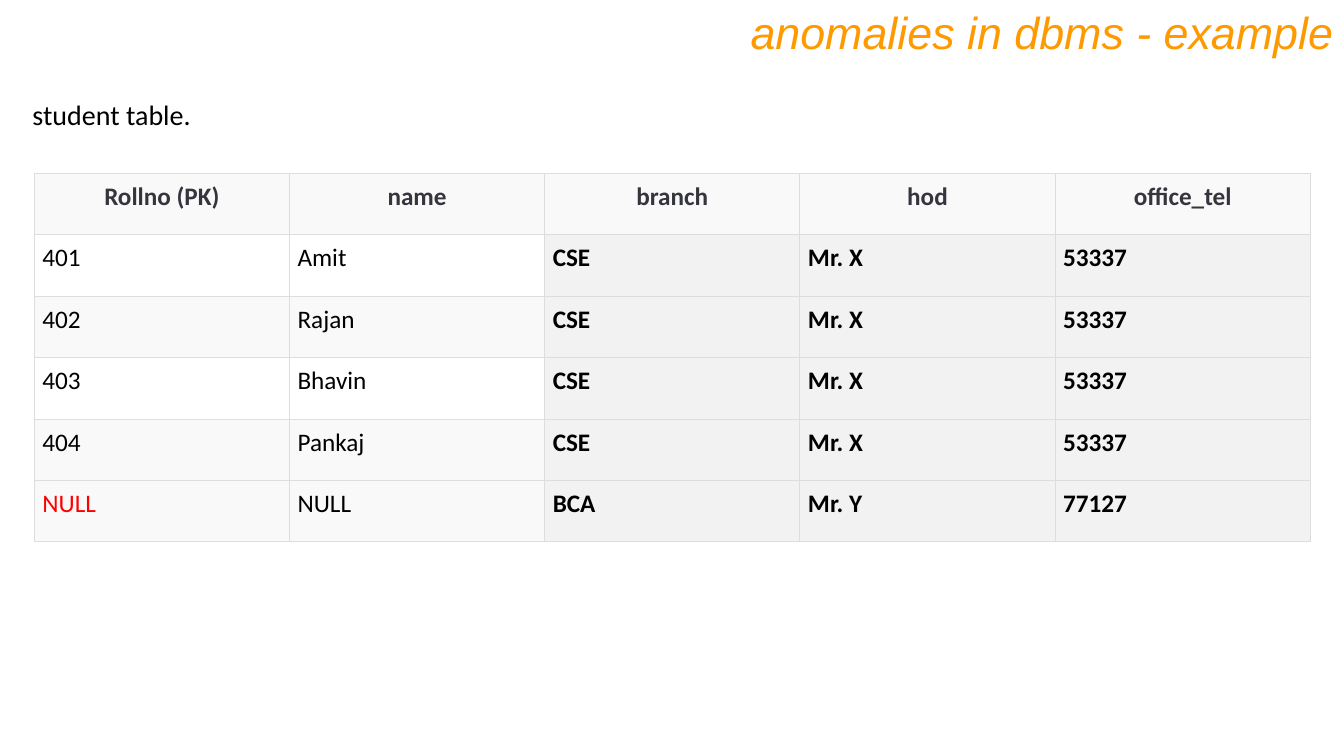
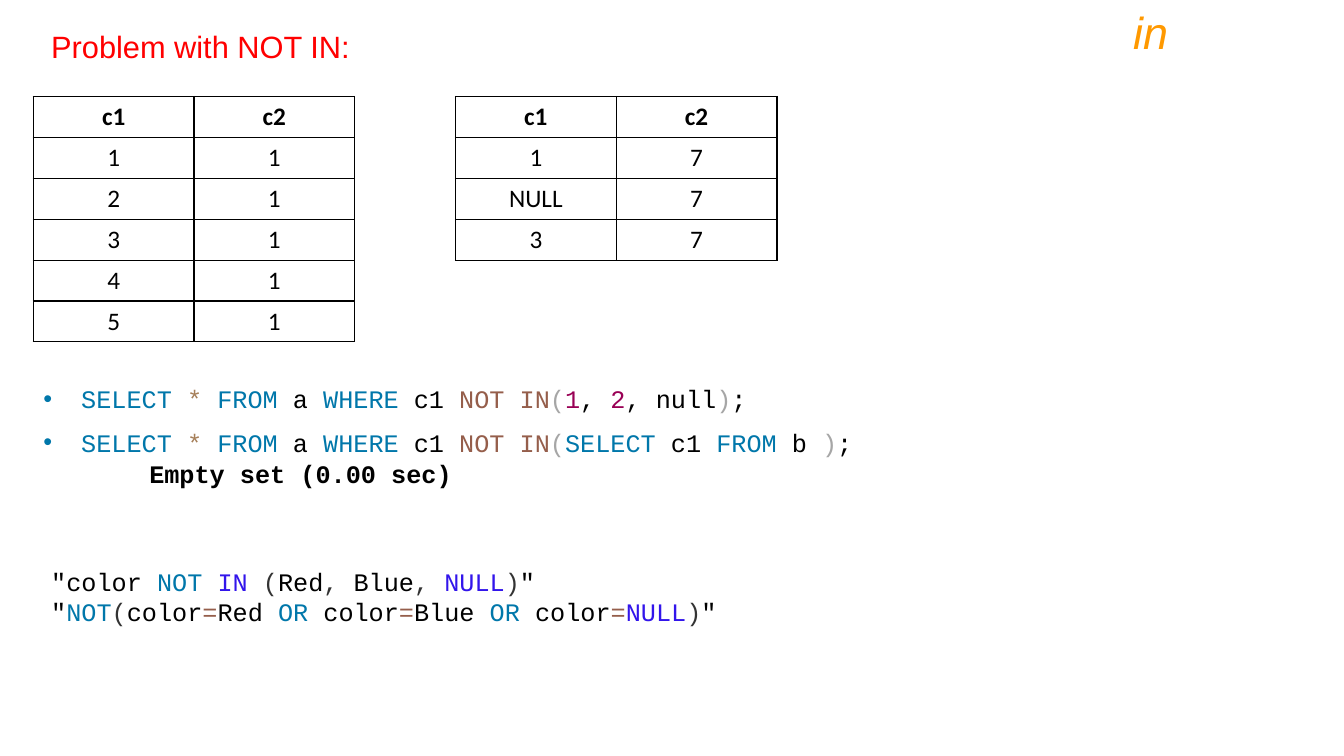
from dataclasses import dataclass
from typing import NamedTuple, Optional, Sequence

from lxml.etree import SubElement
from pptx import Presentation
from pptx.dml.color import RGBColor
from pptx.enum.text import MSO_ANCHOR, MSO_AUTO_SIZE, PP_ALIGN
from pptx.oxml.ns import qn
from pptx.util import Pt


@dataclass(frozen=True)
class Theme:
    title_font: str = "Arial"
    body_font: str = "Calibri"
    code_font: str = "Courier New"
    title_size: float = 32
    heading_size: float = 22
    lead_size: float = 20
    text_size: float = 18
    orange: RGBColor = RGBColor(0xFF, 0x99, 0x00)
    red: RGBColor = RGBColor(0xFF, 0x00, 0x00)
    black: RGBColor = RGBColor(0x00, 0x00, 0x00)
    white: RGBColor = RGBColor(0xFF, 0xFF, 0xFF)
    header_text: RGBColor = RGBColor(0x35, 0x35, 0x3E)
    header_fill: RGBColor = RGBColor(0xF9, 0xF9, 0xF9)
    repeated_fill: RGBColor = RGBColor(0xF2, 0xF2, 0xF2)
    grid: RGBColor = RGBColor(0xDD, 0xDD, 0xDD)
    keyword: RGBColor = RGBColor(0x00, 0x77, 0xAA)
    star: RGBColor = RGBColor(0xA6, 0x7F, 0x59)
    operator: RGBColor = RGBColor(0x95, 0x5E, 0x4B)
    bracket: RGBColor = RGBColor(0xA6, 0xA6, 0xA6)
    number: RGBColor = RGBColor(0x99, 0x00, 0x55)
    constant: RGBColor = RGBColor(0x32, 0x15, 0xEB)
    punctuation: RGBColor = RGBColor(0x33, 0x33, 0x33)


THEME = Theme()


class Box(NamedTuple):
    left: float
    top: float
    width: float
    height: float


class Span(NamedTuple):
    text: str
    color: RGBColor = THEME.black


class CellStyle(NamedTuple):
    fill: RGBColor = THEME.white
    color: RGBColor = THEME.black
    bold: bool = False
    align: PP_ALIGN = PP_ALIGN.LEFT


class Grid(NamedTuple):
    left: float
    top: float
    column_width: float
    row_height: float
    border: RGBColor
    border_width: float
    inset: Optional[float] = None


QUERY_START = (
    Span("SELECT ", THEME.keyword), Span("* ", THEME.star),
    Span("FROM", THEME.keyword), Span(" a "),
    Span("WHERE", THEME.keyword), Span(" c1 "),
    Span("NOT IN", THEME.operator), Span("(", THEME.bracket),
)
QUERY_END = (Span(")", THEME.bracket), Span(";"))
LIST_QUERY = (
    *QUERY_START, Span("1", THEME.number), Span(", "),
    Span("2", THEME.number), Span(", null"), *QUERY_END,
)
SUBQUERY = (
    *QUERY_START, Span("SELECT ", THEME.keyword), Span("c1"),
    Span(" FROM ", THEME.keyword), Span("b "), *QUERY_END,
)
EQUALS = Span("=", THEME.operator)
OR = Span("OR ", THEME.keyword)
COMMA = Span(", ", THEME.punctuation)
OPEN = Span("(", THEME.punctuation)
CONDITION_END = (
    Span("NULL", THEME.constant), Span(")", THEME.punctuation), Span('"'),
)
CONDITIONS = (
    (Span('"color '), Span("NOT ", THEME.keyword), Span("IN ", THEME.constant),
     OPEN, Span("Red"), COMMA, Span("Blue"), COMMA, *CONDITION_END),
    (Span('"'), Span("NOT", THEME.keyword), OPEN,
     Span("color"), EQUALS, Span("Red "), OR,
     Span("color"), EQUALS, Span("Blue "), OR,
     Span("color"), EQUALS, *CONDITION_END),
)
STUDENTS = (
    ("Rollno (PK)", "name", "branch", "hod", "office_tel"),
    ("401", "Amit", "CSE", "Mr. X", "53337"),
    ("402", "Rajan", "CSE", "Mr. X", "53337"),
    ("403", "Bhavin", "CSE", "Mr. X", "53337"),
    ("404", "Pankaj", "CSE", "Mr. X", "53337"),
    ("NULL", "NULL", "BCA", "Mr. Y", "77127"),
)
TABLE_A = (("c1", "c2"), *((str(number), "1") for number in range(1, 6)))
TABLE_B = (("c1", "c2"), ("1", "7"), ("NULL", "7"), ("3", "7"))


def write_paragraph(paragraph, spans: Sequence[Span], *, font: str, size: float,
                    bold: bool = False, italic: bool = False,
                    align: PP_ALIGN = PP_ALIGN.LEFT, line_spacing=None,
                    space_before: float = 0, margin: float = 0,
                    hanging: float = 0, bullet: Optional[str] = None) -> None:
    properties = paragraph._p.get_or_add_pPr()
    properties.set("marL", str(Pt(margin)))
    properties.set("indent", str(-Pt(hanging)))
    if bullet:
        SubElement(properties, qn("a:buChar")).set("char", bullet)
    else:
        SubElement(properties, qn("a:buNone"))
    paragraph.alignment = align
    paragraph.space_before = Pt(space_before)
    if line_spacing is not None:
        paragraph.line_spacing = line_spacing
    for span in spans:
        run = paragraph.add_run()
        run.text = span.text
        run.font.name = font
        run.font.size = Pt(size)
        run.font.bold = bold
        run.font.italic = italic
        run.font.color.rgb = span.color


def prepare_frame(shape, box: Box):
    """Place a text shape and return its top-anchored, wrapping text frame."""
    shape.left, shape.top, shape.width, shape.height = map(Pt, box)
    frame = shape.text_frame
    frame.word_wrap = True
    frame.auto_size = MSO_AUTO_SIZE.NONE
    frame.vertical_anchor = MSO_ANCHOR.TOP
    return frame


def add_titled_slide(presentation, title: str, box: Box):
    slide = presentation.slides.add_slide(presentation.slide_layouts[1])
    frame = prepare_frame(slide.shapes.title, box)
    write_paragraph(frame.paragraphs[0], [Span(title, THEME.orange)],
                    font=THEME.title_font, size=THEME.title_size,
                    italic=True, align=PP_ALIGN.RIGHT)
    return slide


def add_text_frame(slide, box: Box):
    return prepare_frame(slide.shapes.add_textbox(*map(Pt, box)), box)


def add_cell_borders(cell, color: RGBColor, width: float) -> None:
    properties = cell._tc.get_or_add_tcPr()
    for side in ("lnL", "lnR", "lnT", "lnB"):
        line = SubElement(properties, qn(f"a:{side}"), w=str(Pt(width)))
        fill = SubElement(line, qn("a:solidFill"))
        SubElement(fill, qn("a:srgbClr"), val=str(color))


def add_grid_table(slide, rows, grid: Grid, style_cell) -> None:
    """Draw rows; style_cell(row, column, text) gives each cell's style."""
    columns = len(rows[0])
    table = slide.shapes.add_table(
        len(rows), columns, Pt(grid.left), Pt(grid.top),
        Pt(grid.column_width * columns), Pt(grid.row_height * len(rows))).table
    table.first_row = table.horz_banding = False
    for column in table.columns:
        column.width = Pt(grid.column_width)
    for row_index, row in enumerate(rows):
        table.rows[row_index].height = Pt(grid.row_height)
        for column_index, text in enumerate(row):
            cell = table.cell(row_index, column_index)
            style = style_cell(row_index, column_index, text)
            add_cell_borders(cell, grid.border, grid.border_width)
            cell.fill.solid()
            cell.fill.fore_color.rgb = style.fill
            if grid.inset is not None:
                cell.margin_left = cell.margin_right = Pt(grid.inset)
                cell.margin_top = cell.margin_bottom = Pt(grid.inset)
            write_paragraph(cell.text_frame.paragraphs[0],
                            [Span(text, style.color)], font=THEME.body_font,
                            size=THEME.text_size, bold=style.bold,
                            align=style.align)


def style_student_cell(row: int, column: int, text: str) -> CellStyle:
    if row == 0:
        return CellStyle(THEME.header_fill, THEME.header_text, True,
                         PP_ALIGN.CENTER)
    if column >= 2:
        return CellStyle(THEME.repeated_fill, bold=True)
    fill = THEME.white if row in (1, 3) else THEME.header_fill
    missing_key = column == 0 and text == "NULL"
    return CellStyle(fill, THEME.red if missing_key else THEME.black)


def style_plain_cell(row: int, column: int, text: str) -> CellStyle:
    return CellStyle(bold=row == 0, align=PP_ALIGN.CENTER)


def build_anomalies_slide(presentation) -> None:
    slide = add_titled_slide(presentation, "anomalies in dbms - example",
                             Box(0, 0, 960, 46))
    lead = prepare_frame(slide.placeholders[1], Box(16, 66, 928, 32))
    write_paragraph(lead.paragraphs[0], [Span("student table.")],
                    font=THEME.body_font, size=THEME.lead_size)
    add_grid_table(slide, STUDENTS,
                   Grid(24.5, 123.8, 182.3, 43.9, THEME.grid, 0.75, 5.76),
                   style_student_cell)


def build_not_in_slide(presentation) -> None:
    slide = add_titled_slide(presentation, "in", Box(121.5, 0, 720, 46))
    heading = add_text_frame(slide, Box(29.5, 3, 760, 42.5))
    write_paragraph(heading.paragraphs[0],
                    [Span("Problem with NOT IN:", THEME.red)],
                    font=THEME.title_font, size=THEME.heading_size,
                    line_spacing=1.5)
    for rows, left in ((TABLE_A, 23.8), (TABLE_B, 325.4)):
        add_grid_table(slide, rows,
                       Grid(left, 69, 114.8, 29.2, THEME.black, 1),
                       style_plain_cell)

    code = dict(font=THEME.code_font, size=THEME.text_size,
                line_spacing=Pt(22))
    query_list = dict(code, bullet="•", margin=27, hanging=27)
    queries = prepare_frame(slide.placeholders[1], Box(23.8, 270, 935, 82))
    write_paragraph(queries.paragraphs[0], LIST_QUERY, **query_list)
    write_paragraph(queries.add_paragraph(), SUBQUERY, space_before=9,
                    **query_list)
    write_paragraph(queries.add_paragraph(), [Span("Empty set (0.00 sec)")],
                    bold=True, margin=75.6, **code)

    conditions = add_text_frame(slide, Box(29.5, 400.3, 669, 51))
    for index, spans in enumerate(CONDITIONS):
        paragraph = (conditions.add_paragraph() if index
                     else conditions.paragraphs[0])
        write_paragraph(paragraph, spans, **code)


def main() -> None:
    presentation = Presentation()
    presentation.slide_width, presentation.slide_height = Pt(960), Pt(540)
    build_anomalies_slide(presentation)
    build_not_in_slide(presentation)
    presentation.save("out.pptx")


if __name__ == "__main__":
    main()
